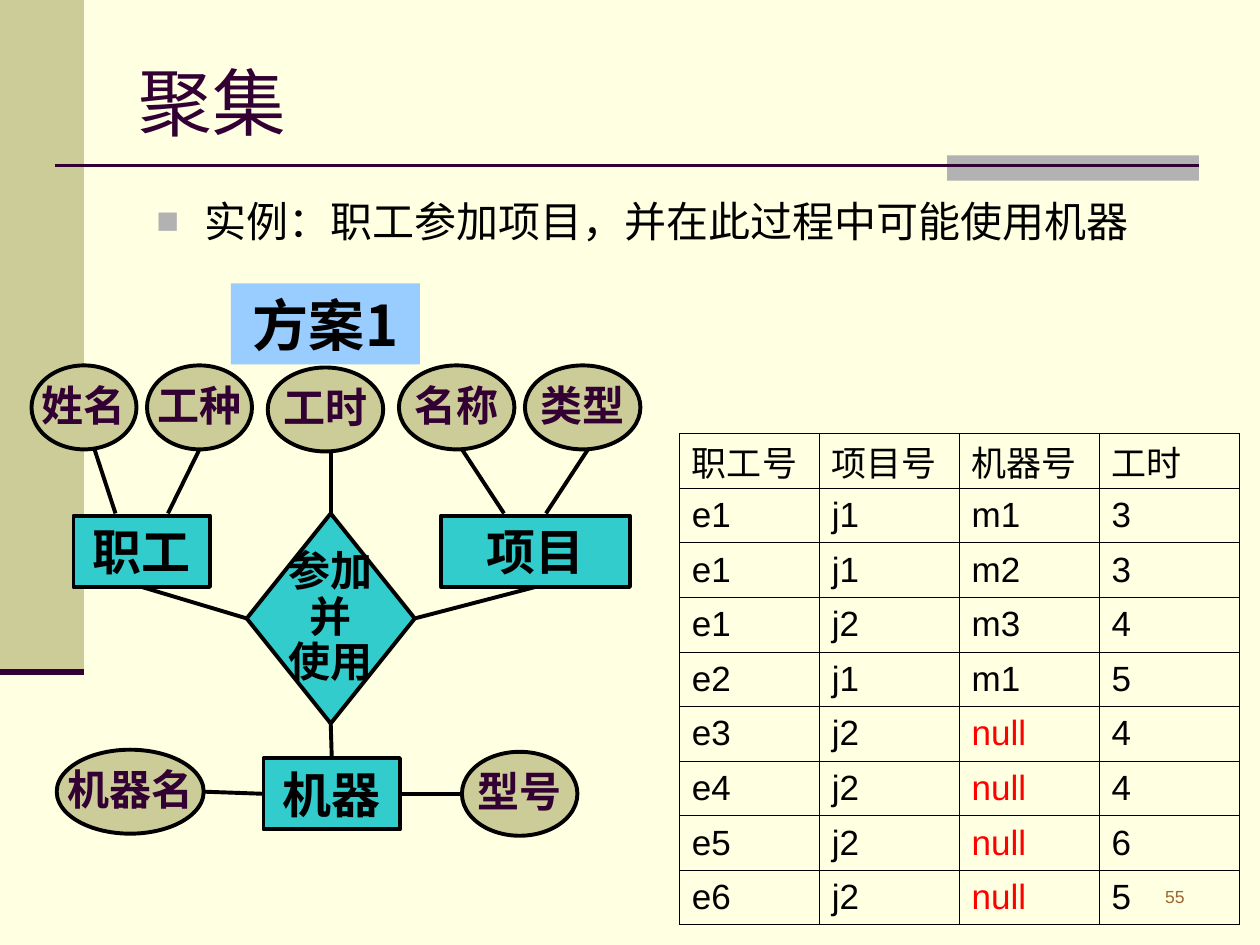
from typing import NamedTuple, Optional, Union

from lxml import etree
from pptx import Presentation
from pptx.dml.color import RGBColor
from pptx.enum.shapes import MSO_CONNECTOR, MSO_SHAPE
from pptx.enum.text import MSO_ANCHOR, MSO_AUTO_SIZE, PP_ALIGN
from pptx.oxml.ns import qn
from pptx.util import Inches, Pt

RECT, OVAL, DIAMOND = MSO_SHAPE.RECTANGLE, MSO_SHAPE.OVAL, MSO_SHAPE.DIAMOND
STRAIGHT = MSO_CONNECTOR.STRAIGHT
MIDDLE, TOP_ANCHOR = MSO_ANCHOR.MIDDLE, MSO_ANCHOR.TOP
LEFT_ALIGN, CENTER, RIGHT_ALIGN = PP_ALIGN.LEFT, PP_ALIGN.CENTER, PP_ALIGN.RIGHT
NO_AUTOFIT = MSO_AUTO_SIZE.NONE
TOP, LEFT, BOTTOM, RIGHT = range(4)

COLUMNS, ROWS = 120, 90
SLIDE_WIDTH, SLIDE_HEIGHT = Inches(10), Inches(7.5)
CJK = "Noto Sans CJK JP"
COLORS = {
    "cream": "FFFFE1", "olive": "CCCC99", "gray": "B2B2B2", "plum": "330033",
    "brown": "996633", "black": "000000", "teal": "33CCCC", "sky": "99CCFF",
    "red": "FF0000",
}


class Area(NamedTuple):
    col: float
    row: float
    cols: float
    rows: float


class Style(NamedTuple):
    font: dict
    color: str = "black"
    paragraph: dict = {}


class Node(NamedTuple):
    text: str
    geometry: int
    area: Area
    fill: str
    style: Style
    outlined: bool = True


class Joint(NamedTuple):
    node: str
    side: int


class Point(NamedTuple):
    col: float
    row: float


class Link(NamedTuple):
    start: Union[Joint, Point]
    end: Union[Joint, Point]
    color: str = "black"
    width: float = 2.25


BOLD_CJK = {"bold": True, "name": CJK}
TIGHT = {"alignment": CENTER, "line_spacing": 0.9}
ENTITY = Style({"size": Pt(28), **BOLD_CJK}, "black", {"alignment": CENTER})
RELATION = Style({"size": Pt(24), **BOLD_CJK}, "black", TIGHT)
ATTRIBUTE = Style({"size": Pt(24), **BOLD_CJK}, "plum", TIGHT)
PLAN = Style({"size": Pt(32), **BOLD_CJK}, "black", {"alignment": CENTER})
TITLE = Style({"size": Pt(42), "name": "Times New Roman"}, "plum", {"alignment": LEFT_ALIGN})
EXAMPLE = Style({"size": Pt(24), "name": "Arial"}, "black", {"space_before": Pt(0)})
PAGE = Style({"size": Pt(10), "name": "Arial"}, "brown", {"alignment": RIGHT_ALIGN})

DECOR = [(Area(0, 0, 8, 64), "olive"), (Area(90.2, 14.8, 24, 2.4), "gray")]
RULES = [
    Link(Point(5.2, 15.75), Point(114.2, 15.75), "plum", 1.5),
    Link(Point(0, 64), Point(8, 64), "plum", 3.5),
]
ENTITIES = [("职工", 7, 49.1, 13), ("项目", 42, 49.1, 18), ("机器", 25.1, 72.2, 13)]
ATTRIBUTES = [
    ("姓名", 3, 34.8, 10), ("工种", 14, 34.8, 10), ("工时", 25.5, 35, 11),
    ("名称", 38, 34.8, 11), ("类型", 50, 34.8, 11),
    ("机器名", 5.4, 71.4, 14), ("型号", 44, 71.6, 11),
]
RELATIONSHIP = "参加\n并\n使用"
NODES = [
    *(Node(text, RECT, Area(col, row, cols, 6.8), "teal", ENTITY)
      for text, col, row, cols in ENTITIES),
    Node(RELATIONSHIP, DIAMOND, Area(23.5, 48.9, 16, 20), "teal", RELATION),
    Node("方案1", RECT, Area(22, 27, 18, 7.7), "sky", PLAN, False),
    *(Node(text, OVAL, Area(col, row, cols, 8), "olive", ATTRIBUTE)
      for text, col, row, cols in ATTRIBUTES),
]
LINKS = [
    Link(Point(11, 48.9), Point(9, 42.8)),
    Link(Point(16, 48.9), Point(19, 42.8)),
    Link(Point(48, 48.9), Point(44, 42.8)),
    Link(Point(52, 48.9), Point(56, 42.8)),
    Link(Point(31.5, 43), Joint(RELATIONSHIP, TOP)),
    Link(Joint("职工", BOTTOM), Joint(RELATIONSHIP, LEFT)),
    Link(Joint("项目", BOTTOM), Joint(RELATIONSHIP, RIGHT)),
    Link(Joint(RELATIONSHIP, BOTTOM), Joint("机器", TOP)),
    Link(Joint("机器", LEFT), Point(19.4, 75.4)),
    Link(Joint("机器", RIGHT), Point(44, 75.6)),
]
WORK_RECORDS = [
    ("职工号", "项目号", "机器号", "工时"),
    ("e1", "j1", "m1", "3"), ("e1", "j1", "m2", "3"), ("e1", "j2", "m3", "4"),
    ("e2", "j1", "m1", "5"), ("e3", "j2", "null", "4"), ("e4", "j2", "null", "4"),
    ("e5", "j2", "null", "6"), ("e6", "j2", "null", "5"),
]
RECORDS_AREA = Area(64.7, 41.3, 53.3, 46.8)


def x(col: float) -> int:
    return round(SLIDE_WIDTH * col / COLUMNS)


def y(row: float) -> int:
    return round(SLIDE_HEIGHT * row / ROWS)


def place(area: Area) -> tuple:
    return x(area.col), y(area.row), x(area.cols), y(area.rows)


def rgb(name: str) -> RGBColor:
    return RGBColor.from_string(COLORS[name])


def apply(target, values: dict) -> None:
    for attribute, value in values.items():
        setattr(target, attribute, value)


def write(frame, text: str, style: Style, **frame_format) -> None:
    apply(frame, {"auto_size": NO_AUTOFIT, **frame_format})
    frame.text = text
    for paragraph in frame.paragraphs:
        apply(paragraph, style.paragraph)
        for run in paragraph.runs:
            apply(run.font, style.font)
            run.font.color.rgb = rgb(style.color)
            if style.font["name"] == CJK:
                etree.SubElement(run.font._element, qn("a:ea"), typeface=CJK)


def draw_block(slide, geometry: int, area: Area, fill: str, outline: Optional[str] = None):
    block = slide.shapes.add_shape(geometry, *place(area))
    block.shadow.inherit = False
    block.fill.solid()
    block.fill.fore_color.rgb = rgb(fill)
    if outline:
        block.line.color.rgb = rgb(outline)
        block.line.width = Pt(2.25)
    else:
        block.line.fill.background()
    return block


def draw_node(slide, node: Node):
    block = draw_block(slide, node.geometry, node.area, node.fill,
                       "black" if node.outlined else None)
    write(block.text_frame, node.text, node.style, word_wrap=False,
          vertical_anchor=MIDDLE, margin_top=0, margin_bottom=0)
    return block


def draw_link(slide, link: Link, blocks: dict) -> None:
    ends = [(x(end.col), y(end.row)) if isinstance(end, Point) else (0, 0)
            for end in (link.start, link.end)]
    connector = slide.shapes.add_connector(STRAIGHT, *ends[0], *ends[1])
    for end, join in ((link.start, connector.begin_connect), (link.end, connector.end_connect)):
        if isinstance(end, Joint):
            join(blocks[end.node], end.side)
    connector.line.color.rgb = rgb(link.color)
    connector.line.width = Pt(link.width)
    etree.SubElement(connector._element.spPr, qn("a:effectLst"))


def add_bullet(paragraph) -> None:
    properties = paragraph._p.get_or_add_pPr()
    properties.set("marL", str(Inches(0.38)))
    properties.set("indent", str(-Inches(0.38)))
    color = etree.SubElement(properties, qn("a:buClr"))
    etree.SubElement(color, qn("a:srgbClr"), val=COLORS["gray"])
    etree.SubElement(properties, qn("a:buSzPct"), val="90000")
    etree.SubElement(properties, qn("a:buFont"), typeface="Arial")
    etree.SubElement(properties, qn("a:buChar"), char="■")


def border_cell(cell) -> None:
    properties = cell._tc.get_or_add_tcPr()
    for index, side in enumerate(("a:lnL", "a:lnR", "a:lnT", "a:lnB")):
        border = etree.Element(qn(side), w=str(Pt(0.45)))
        fill = etree.SubElement(border, qn("a:solidFill"))
        etree.SubElement(fill, qn("a:srgbClr"), val=COLORS["black"])
        properties.insert(index, border)


def draw_records(slide, records: list, area: Area) -> None:
    table = slide.shapes.add_table(len(records), len(records[0]), *place(area)).table
    apply(table, {"first_row": False, "horz_banding": False})
    for row, record in enumerate(records):
        for column, value in enumerate(record):
            cell = table.cell(row, column)
            cell.fill.background()
            apply(cell, {"vertical_anchor": MIDDLE, "margin_top": Inches(0.01),
                         "margin_bottom": Inches(0.01)})
            color = "red" if value == "null" else "black"
            write(cell.text_frame, value, Style({"size": Pt(20), "name": "Arial"}, color))
            border_cell(cell)


def main() -> None:
    deck = Presentation()
    apply(deck, {"slide_width": SLIDE_WIDTH, "slide_height": SLIDE_HEIGHT})
    slide = deck.slides.add_slide(deck.slide_layouts[1])
    slide.background.fill.solid()
    slide.background.fill.fore_color.rgb = rgb("cream")
    for area, fill in DECOR:
        draw_block(slide, RECT, area, fill)
    for rule in RULES:
        draw_link(slide, rule, {})
    title, example = slide.placeholders
    for holder, area in ((title, Area(12, 3.6, 102, 12.1)), (example, Area(13.7, 18, 104.3, 18))):
        apply(holder, dict(zip(("left", "top", "width", "height"), place(area))))
    write(title.text_frame, "聚集", TITLE, vertical_anchor=MIDDLE)
    write(example.text_frame, "实例：职工参加项目，并在此过程中可能使用机器", EXAMPLE,
          vertical_anchor=TOP_ANCHOR)
    add_bullet(example.text_frame.paragraphs[0])
    blocks = {node.text: draw_node(slide, node) for node in NODES}
    for link in LINKS:
        draw_link(slide, link, blocks)
    draw_records(slide, WORK_RECORDS, RECORDS_AREA)
    page = slide.shapes.add_textbox(*place(Area(98.8, 83.8, 15.2, 4.2)))
    write(page.text_frame, "55", PAGE, word_wrap=True)
    deck.save("out.pptx")


if __name__ == "__main__":
    main()
